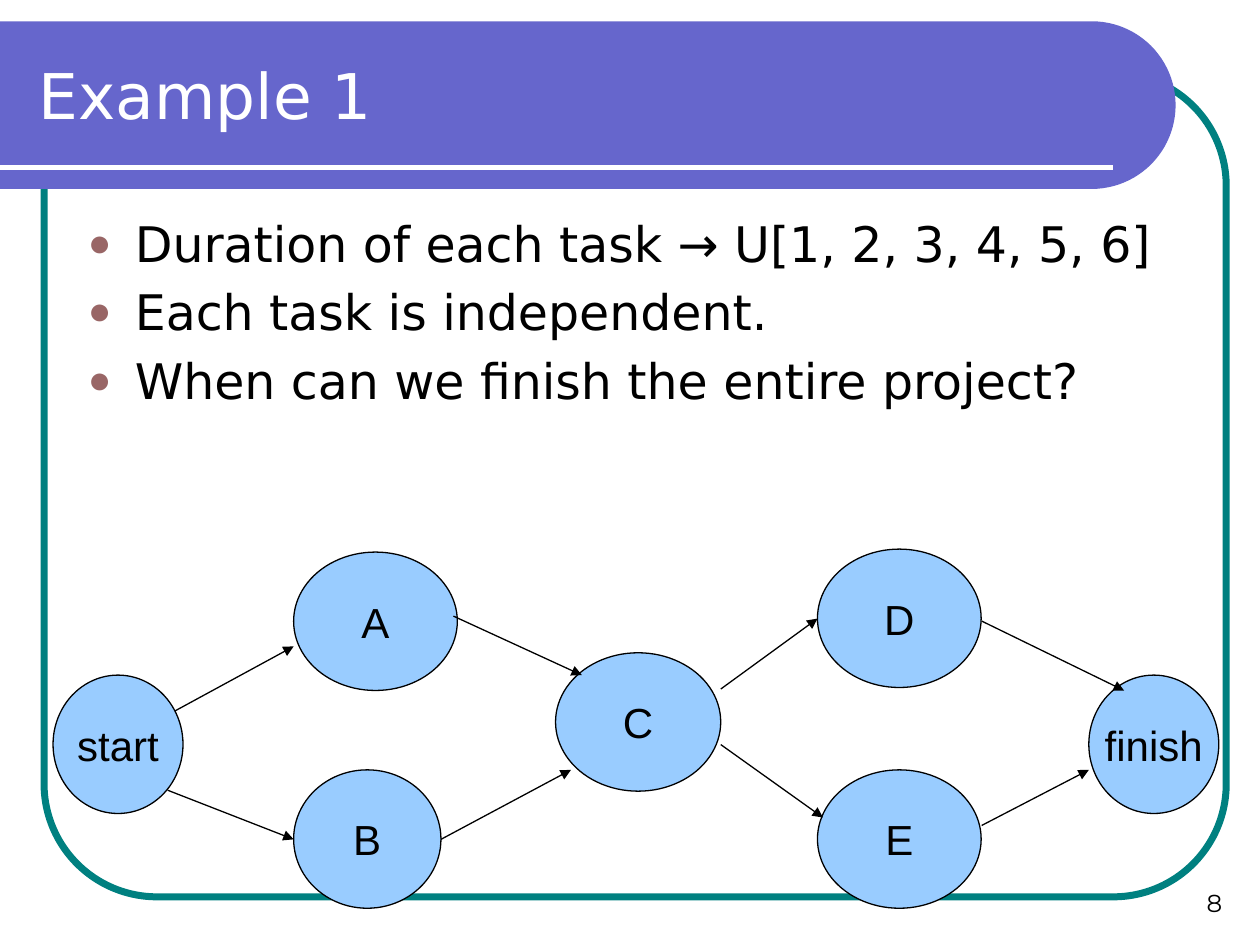
from dataclasses import dataclass
from math import cos, pi, sin

from lxml.etree import SubElement
from pptx import Presentation
from pptx.dml.color import RGBColor
from pptx.enum.shapes import MSO_CONNECTOR, MSO_SHAPE
from pptx.enum.text import MSO_ANCHOR, MSO_AUTO_SIZE, PP_ALIGN
from pptx.oxml.ns import qn
from pptx.util import Cm, Pt


@dataclass(frozen=True)
class Theme:
    frame: str = "008080"
    band: str = "6666CC"
    node: str = "99CCFF"
    dot: str = "996666"
    ink: str = "000000"
    paper: str = "FFFFFF"
    face: str = "DejaVu Sans"
    label: str = "Arial"
    digit: str = "Montserrat"
    head: int = 36
    body: int = 28
    task: int = 24
    page: int = 14
    thin: float = 0.75


@dataclass(frozen=True)
class Task:
    name: str
    left: float
    top: float
    width: float


@dataclass(frozen=True)
class Arrow:
    x1: float
    y1: float
    x2: float
    y2: float


THEME = Theme()
HEIGHT = 2.79  # shared by all task ellipses

TASKS = [
    Task("start", 1.07, 13.61, 2.62),
    Task("A", 5.92, 11.13, 3.3),
    Task("B", 5.92, 15.52, 2.97),
    Task("C", 11.2, 13.16, 3.33),
    Task("D", 16.48, 11.07, 3.3),
    Task("E", 16.48, 15.52, 3.3),
    Task("finish", 21.95, 13.61, 2.62),
]

ARROWS = [
    Arrow(3.53, 14.33, 5.92, 13.03),    # start to A
    Arrow(3.38, 15.93, 5.92, 16.92),    # start to B
    Arrow(9.14, 12.42, 11.73, 13.61),   # A to C
    Arrow(8.89, 16.92, 11.51, 15.52),   # B to C
    Arrow(14.53, 13.89, 16.48, 12.47),  # C to D
    Arrow(14.53, 15.01, 16.59, 16.48),  # C to E
    Arrow(19.79, 12.52, 22.66, 13.92),  # D to finish
    Arrow(19.79, 16.64, 21.95, 15.52),  # E to finish
]

POINTS = [
    "Duration of each task → U[1, 2, 3, 4, 5, 6]",
    "Each task is independent.",
    "When can we finish the entire project?",
]


def rgb(code: str) -> RGBColor:
    return RGBColor.from_string(code)


def apply(item, values: dict) -> None:
    for key, value in values.items():
        setattr(item, key, value)


def place(shape, left: float, top: float, width: float, height: float) -> None:
    apply(shape, {"left": Cm(left), "top": Cm(top),
                  "width": Cm(width), "height": Cm(height)})


def write(shape, lines: list, size: int, face: str, color: str,
          align=PP_ALIGN.LEFT, anchor=MSO_ANCHOR.TOP, wrap: bool = True) -> None:
    frame = shape.text_frame
    frame.text = "\n".join(lines)
    apply(frame, {"word_wrap": wrap, "vertical_anchor": anchor,
                  "auto_size": MSO_AUTO_SIZE.NONE})
    for para in frame.paragraphs:
        para.alignment = align
        for run in para.runs:
            apply(run.font, {"size": Pt(size), "name": face})
            run.font.color.rgb = rgb(color)


def bullet(para) -> None:
    para.space_before = Pt(THEME.body * 0.2)
    props = para._p.get_or_add_pPr()
    apply_xml = {"marL": Cm(0.95), "indent": Cm(-0.95)}
    for key, value in apply_xml.items():
        props.set(key, str(int(value)))
    tint = SubElement(props, qn("a:buClr"))
    SubElement(tint, qn("a:srgbClr"), val=THEME.dot)
    SubElement(props, qn("a:buSzPct"), val="80000")
    SubElement(props, qn("a:buFont"), typeface=THEME.label)
    SubElement(props, qn("a:buChar"), char="●")


def draw_line(slide, arrow: Arrow, color: str, width: float, tip: bool) -> None:
    ends = (Cm(v) for v in (arrow.x1, arrow.y1, arrow.x2, arrow.y2))
    link = slide.shapes.add_connector(MSO_CONNECTOR.STRAIGHT, *ends)
    link.line.color.rgb = rgb(color)
    link.line.width = Pt(width)
    if tip:
        SubElement(link.line._get_or_add_ln(), qn("a:tailEnd"), type="triangle")
    SubElement(link._element.spPr, qn("a:effectLst"))


def draw_task(slide, task: Task) -> None:
    oval = slide.shapes.add_shape(MSO_SHAPE.OVAL, Cm(task.left), Cm(task.top),
                                  Cm(task.width), Cm(HEIGHT))
    oval.shadow.inherit = False
    oval.fill.solid()
    oval.fill.fore_color.rgb = rgb(THEME.node)
    oval.line.color.rgb = rgb(THEME.ink)
    oval.line.width = Pt(THEME.thin)
    write(oval, [task.name], THEME.task, THEME.label, THEME.ink,
          PP_ALIGN.CENTER, MSO_ANCHOR.MIDDLE, wrap=False)


def draw_decor(slide) -> None:
    # Rounded frame
    frame = slide.shapes.add_shape(MSO_SHAPE.ROUNDED_RECTANGLE, Cm(0.89),
                                   Cm(1.47), Cm(23.83), Cm(16.61))
    frame.adjustments[0] = 0.137
    frame.shadow.inherit = False
    frame.fill.background()
    frame.line.color.rgb = rgb(THEME.frame)
    frame.line.width = Pt(4)

    # Title band with a half-round right end
    radius, x, y, steps = 1.69, 22.01, 2.12, 48
    turns = [pi * i / steps - pi / 2 for i in range(steps + 1)]
    arc = [(Cm(x + radius * cos(t)), Cm(y + radius * sin(t))) for t in turns]
    pen = slide.shapes.build_freeform(0, Cm(y - radius))
    pen.add_line_segments(arc + [(0, Cm(y + radius))], close=True)
    band = pen.convert_to_shape()
    band.shadow.inherit = False
    band.fill.solid()
    band.fill.fore_color.rgb = rgb(THEME.band)
    band.line.fill.background()

    # Rule under the title
    draw_line(slide, Arrow(0, 3.38, 22.43, 3.38), THEME.paper, 3, tip=False)


def main() -> None:
    deck = Presentation()
    apply(deck, {"slide_width": Cm(25.4), "slide_height": Cm(19.05)})
    slide = deck.slides.add_slide(deck.slide_layouts[5])
    draw_decor(slide)

    # Title, lifted above the band
    title = slide.shapes.title
    place(title, 0.53, 0.64, 22.28, 2.54)
    write(title, ["Example 1"], THEME.head, THEME.face, THEME.paper,
          anchor=MSO_ANCHOR.MIDDLE)
    slide.shapes._spTree.append(title._element)

    # Bullet points
    body = slide.shapes.add_textbox(Cm(1.52), Cm(4.17), Cm(22.3), Cm(12.55))
    write(body, POINTS, THEME.body, THEME.face, THEME.ink)
    for para in body.text_frame.paragraphs:
        bullet(para)

    # Task network
    for task in TASKS:
        draw_task(slide, task)
    for arrow in ARROWS:
        draw_line(slide, arrow, THEME.ink, THEME.thin, tip=True)

    # Page number
    page = slide.shapes.add_textbox(Cm(18.97), Cm(17.35), Cm(5.92), Cm(1.27))
    write(page, ["8"], THEME.page, THEME.digit, THEME.ink,
          PP_ALIGN.RIGHT, MSO_ANCHOR.BOTTOM)

    deck.save("out.pptx")


if __name__ == "__main__":
    main()
